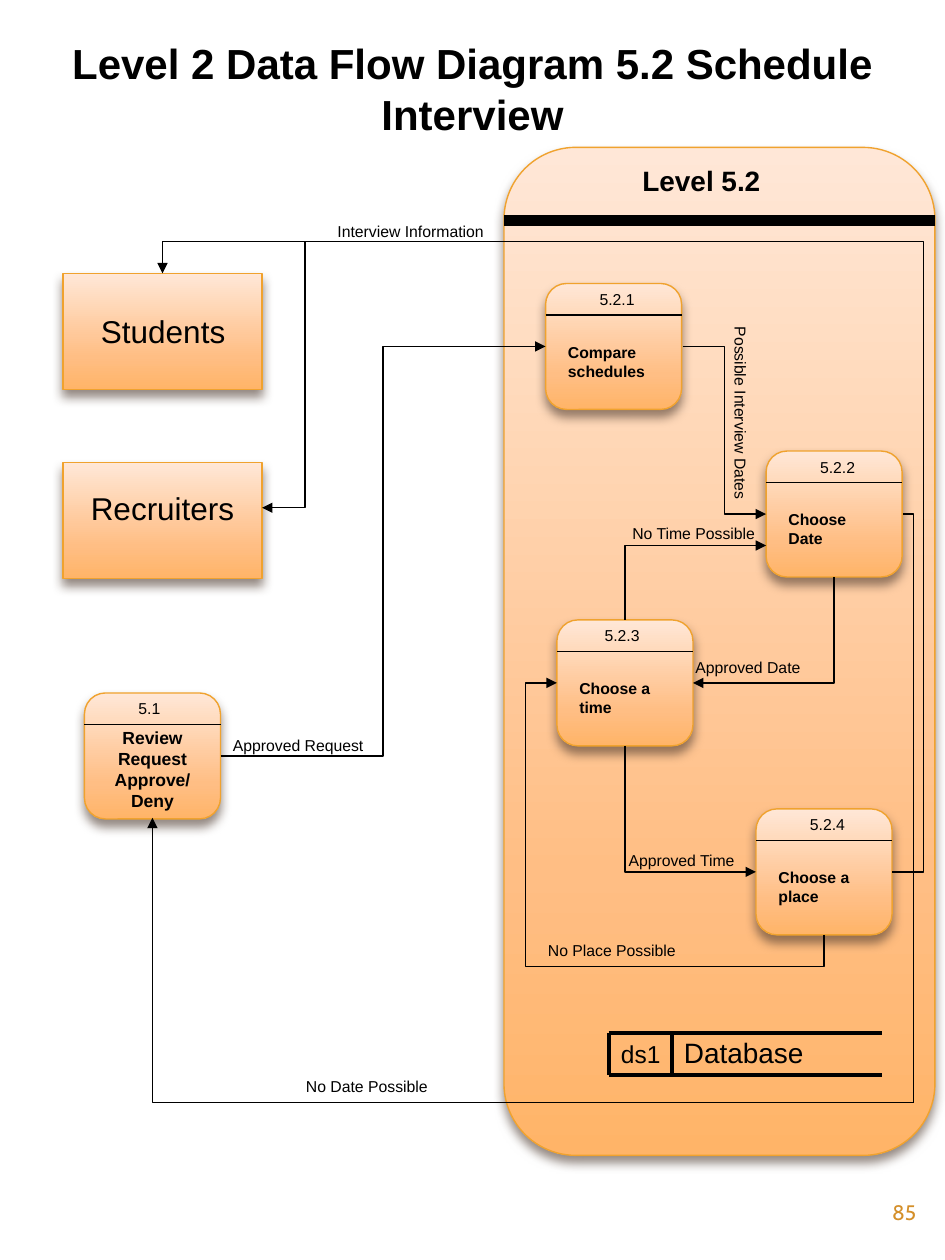
import copy
import pptx
import pptx.dml.color
import pptx.enum.shapes
import pptx.enum.text
import pptx.oxml
import pptx.oxml.ns
import pptx.util

HUES = {"ink": "000000", "edge": "F0A22E", "shade": "4E3B30", "page": "D48F29",
        "top": "FFE7D7", "mid": "FFBE84", "low": "FFB468"}
FADE = [(0, "top"), (0.72, "mid"), (1, "low")]
KINDS = pptx.enum.shapes.MSO_SHAPE
LINKS = pptx.enum.shapes.MSO_CONNECTOR
ALIGN = pptx.enum.text.PP_ALIGN
ANCHOR = pptx.enum.text.MSO_ANCHOR


def cm(size):
    """Length on the inch grid, given in centimetres."""
    return pptx.util.Cm(size * 2.54)


def hue(name):
    return pptx.dml.color.RGBColor.from_string(HUES[name])


def node(tag, **attrs):
    item = pptx.oxml.parse_xml(f"<a:{tag} {pptx.oxml.ns.nsdecls('a')}/>")
    for key, value in attrs.items():
        item.set(key, str(value))
    return item


class Chart:
    font = {"name": "Arial", "size": 9, "bold": False}

    def __init__(self, deck):
        self.slide = deck.slides.add_slide(deck.slide_layouts[5])
        self.shapes = self.slide.shapes

    def words(self, shape, text, align="LEFT", color="ink", anchor="TOP", wrap=True, **font):
        frame = shape.text_frame
        form = {"word_wrap": wrap, "vertical_anchor": ANCHOR[anchor],
                "auto_size": pptx.enum.text.MSO_AUTO_SIZE.NONE}
        for key, value in form.items():
            setattr(frame, key, value)
        para = frame.paragraphs[0]
        para.alignment = ALIGN[align]
        run = para.add_run()
        run.text = text
        for key, value in {**self.font, **font}.items():
            setattr(run.font, key, pptx.util.Pt(value) if key == "size" else value)
        run.font.color.rgb = hue(color)

    def title(self, text, *area):
        shape = self.shapes.title
        for key, value in zip(("left", "top", "width", "height"), area):
            setattr(shape, key, cm(value))
        self.words(shape, text, "CENTER", size=24, bold=True)

    def label(self, text, x, y, w=1.92, h=0.25, turn=0, **form):
        box = self.shapes.add_textbox(*map(cm, (x, y, w, h)))
        box.rotation = turn
        self.words(box, text, **form)

    def block(self, x, y, w, h, kind=KINDS.ROUNDED_RECTANGLE):
        shape = self.shapes.add_shape(kind, *map(cm, (x, y, w, h)))
        # Three-stop fade from top to bottom
        fill = shape.fill
        fill.gradient()
        fill.gradient_angle = 270
        stops = shape._element.spPr.find(".//" + pptx.oxml.ns.qn("a:gsLst"))
        stops.append(copy.deepcopy(stops[0]))
        for stop, (place, name) in zip(fill.gradient_stops, FADE):
            stop.position = place
            stop.color.rgb = hue(name)
        shape.line.color.rgb = hue("edge")
        shape.line.width = pptx.util.Pt(0.79)
        # Soft drop shadow
        shape.shadow.inherit = False
        glow = node("outerShdw", blurRad=pptx.util.Pt(6), dist=pptx.util.Pt(4),
                    dir=5400000, algn="ctr", rotWithShape=0)
        tint = node("srgbClr", val=HUES["shade"])
        tint.append(node("alpha", val=60000))
        glow.append(tint)
        shape._element.spPr.find(pptx.oxml.ns.qn("a:effectLst")).append(glow)

    def line(self, x1, y1, x2, y2, width=0.75, kind=LINKS.STRAIGHT):
        link = self.shapes.add_connector(kind, *map(cm, (x1, y1, x2, y2)))
        link.line.color.rgb = hue("ink")
        link.line.width = pptx.util.Pt(width)
        link._element.spPr.append(node("effectLst"))
        return link

    def bend(self, x1, y1, x2, y2, kind=2, turn=0, flip="", adj=(), head=True):
        """Elbow from one point to another; a quarter turn swaps its sides."""
        w, h = abs(x2 - x1), abs(y2 - y1)
        if turn in (90, 270):
            w, h = h, w
        x, y = (x1 + x2 - w) / 2, (y1 + y2 - h) / 2
        link = self.line(x, y, x + w, y + h, kind=LINKS.ELBOW)
        props = link._element.spPr
        frame = props.find(pptx.oxml.ns.qn("a:xfrm"))
        frame.set("rot", str(turn * 60000))
        for side in flip:
            frame.set("flip" + side, "1")
        shape = props.find(pptx.oxml.ns.qn("a:prstGeom"))
        shape.set("prst", f"bentConnector{kind}")
        guides = shape.find(pptx.oxml.ns.qn("a:avLst"))
        for place, value in enumerate(adj, 1):
            guides.append(node("gd", name=f"adj{place}", fmla=f"val {round(value * 100000)}"))
        if head:
            props.find(pptx.oxml.ns.qn("a:ln")).append(node("tailEnd", type="triangle"))

    def party(self, name, y, x, top, w):
        self.block(0.5, y, 1.58, 0.92, KINDS.RECTANGLE)
        self.label(name, x, top, w, 0.4, align="CENTER", size=18)

    def task(self, x, y, code, gap=0.33):
        self.block(x, y, 1.08, 1)
        self.line(x, y + 0.25, x + 1.08, y + 0.25)
        self.label(code, x + gap, y, 0.75)


def main():
    deck = pptx.Presentation()
    deck.slide_width, deck.slide_height = cm(7.5), cm(10)
    flow = Chart(deck)
    flow.title("Level 2 Data Flow Diagram 5.2 Schedule Interview", 0, 0.25, 7.5, 0.91)

    # Outside parties
    flow.party("Students", 2.17, 0.67, 2.43, 1.25)
    flow.party("Recruiters", 3.67, 0.5, 3.83, 1.58)

    # Level panel
    flow.block(4, 1.17, 3.42, 8)
    flow.label("Level 5.2", 5, 1.25, 1.15, 0.37, wrap=False, size=16, bold=True)
    flow.line(4, 1.75, 7.42, 1.75, 6)

    # Tasks
    flow.task(0.67, 5.5, "5.1")
    flow.label("Review Request Approve/ Deny", 0.75, 5.72, 0.92, 0.77,
               align="CENTER", size=10, bold=True)
    for x, y, code, name, gap in [
            (4.33, 2.25, "5.2.1", "Compare schedules", 0.33),
            (6.08, 3.58, "5.2.2", "Choose Date", 0.33),
            (4.42, 4.92, "5.2.3", "Choose a time", 0.28),
            (6, 6.42, "5.2.4", "Choose a place", 0.33)]:
        flow.task(x, y, code, gap)
        flow.label(name, x + 0.08, y + 0.42, 0.83, 0.4, bold=True)

    # Flows
    flow.bend(5.42, 2.75, 6.08, 4.08, 3, adj=[0.5])
    flow.bend(6.62, 4.58, 5.5, 5.42, turn=90)
    flow.bend(4.96, 5.92, 6, 6.92, turn=270, flip="H")
    flow.bend(7.08, 6.92, 1.29, 2.17, 4, flip="HV", adj=[-0.043, 1.053])
    flow.bend(2.42, 1.92, 2.08, 4.03, turn=90)
    flow.bend(4.96, 4.92, 6.08, 4.33, turn=90, flip="HV")
    flow.bend(6.54, 7.42, 4.42, 5.42, 4, turn=90, flip="H", adj=[-0.125, 1.118])
    flow.bend(7.17, 4.08, 7.25, 8.75, head=False)
    flow.bend(7.25, 8.75, 1.21, 6.49, turn=180)
    flow.bend(1.75, 6, 4.33, 2.75, 3, flip="V", adj=[0.5])

    # Flow names
    for text, x, y in [
            ("Interview Information", 2.58, 1.71), ("Approved Date", 5.42, 5.17),
            ("Approved Time", 4.89, 6.7), ("No Place Possible", 4.25, 7.42),
            ("No Time Possible", 4.92, 4.11), ("No Date Possible", 2.33, 8.5),
            ("Approved Request", 1.75, 5.79)]:
        flow.label(text, x, y)
    flow.label("Possible Interview Dates", 4.92, 3.33, turn=90)

    # Data store
    for x in (4.83, 5.33):
        flow.line(x, 8.2, x, 8.53, 2.25)
    for y in (8.2, 8.53):
        flow.line(4.83, y, 7, y, 2.25)
    flow.label("ds1", 4.83, 8.2, 0.75, 0.33, size=14)
    flow.label("Database", 5.33, 8.17, 1.17, 0.37, size=16)

    # Page number
    flow.label("85", 6.75, 9.44, 0.62, 0.36, align="RIGHT", anchor="MIDDLE",
               color="page", name="Cabin", size=12)
    deck.save("out.pptx")


if __name__ == "__main__":
    main()
